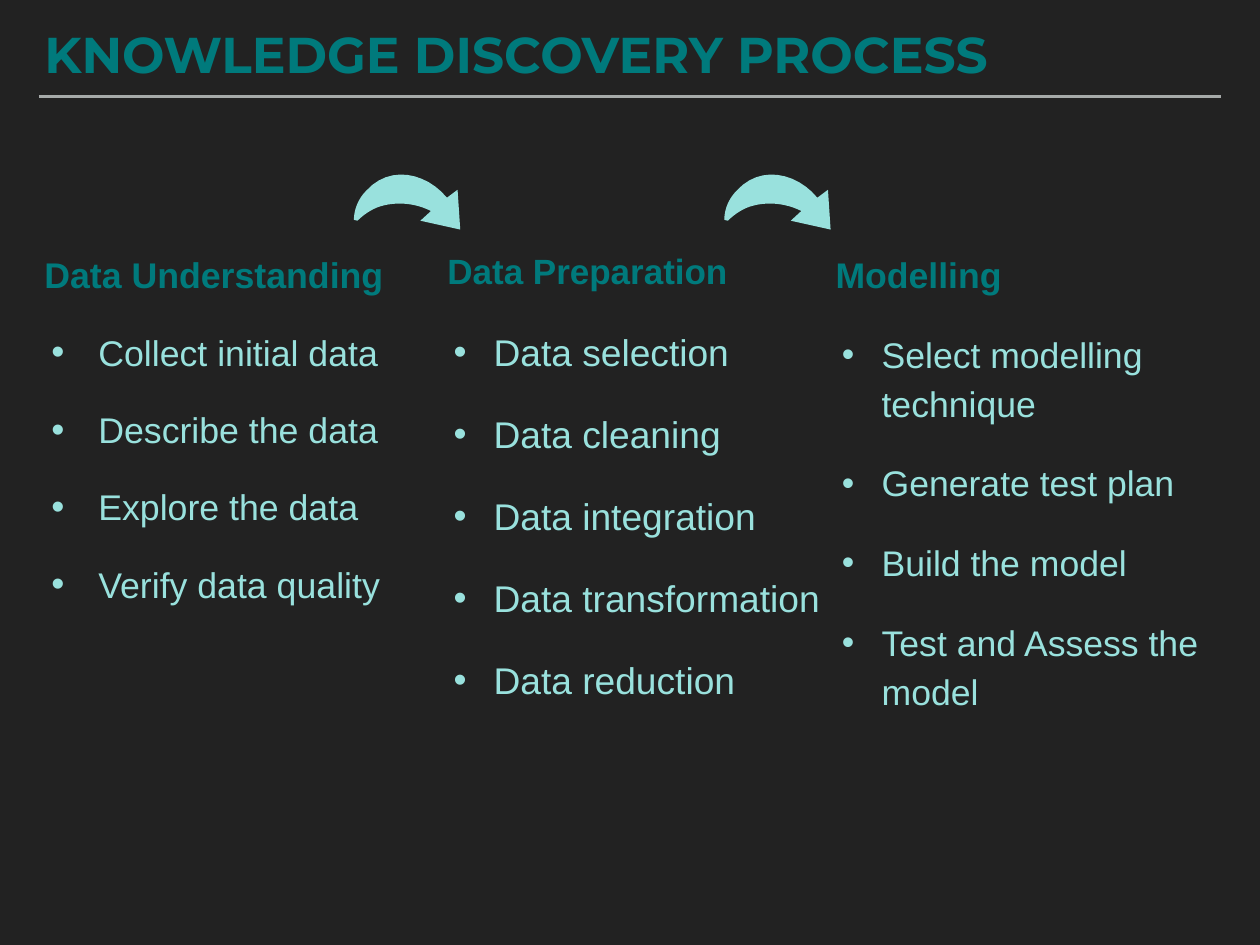
from math import cos, radians, sin
from lxml.etree import SubElement
from pptx import Presentation
from pptx.dml.color import RGBColor
from pptx.enum.shapes import MSO_CONNECTOR as Link
from pptx.enum.text import MSO_ANCHOR as Anchor, MSO_AUTO_SIZE as Fit, PP_ALIGN as Align
from pptx.oxml.ns import qn
from pptx.util import Inches, Pt

TEAL, MINT = "007A7C", "99E1DD"


def paint(color, value):
    color.rgb = RGBColor.from_string(value)


def style(para, face, size, value, bold):
    para.font.name = face
    para.font.size = Pt(size)
    para.font.bold = bold
    paint(para.font.color, value)


deck = Presentation()
deck.slide_width, deck.slide_height = Inches(14.22), Inches(10.67)
slide = deck.slides.add_slide(deck.slide_layouts[5])
slide.background.fill.solid()
paint(slide.background.fill.fore_color, "222222")

rule = slide.shapes.add_connector(
    Link.STRAIGHT, Inches(0.44), Inches(1.09), Inches(13.78), Inches(1.09))
rule.line.width = Pt(2)
paint(rule.line.color, "A6AAA9")
SubElement(rule._element.spPr, qn("a:effectLst"))

title = slide.shapes.title
title.left, title.top = Inches(0.44), Inches(0.33)
title.width, title.height = Inches(13.33), Inches(0.79)
frame = title.text_frame
frame.text = "KNOWLEDGE DISCOVERY PROCESS"
frame.auto_size = Fit.NONE
frame.vertical_anchor = Anchor.TOP
frame.margin_left = frame.margin_right = Inches(0.06)
frame.margin_top = frame.margin_bottom = Inches(0.06)
head = frame.paragraphs[0]
head.alignment = Align.LEFT
head.line_spacing = 0.8
style(head, "Montserrat", 40.9, TEAL, True)

columns = [
    ((0.44, 2.8, 5.2, 6.68), 0.06, Anchor.TOP, (29, 29), 1, 28, (0.61, 0.53), 105,
     ["Data Understanding", "Collect initial data", "Describe the data",
      "Explore the data", "Verify data quality"]),
    ((4.91, 2.68, 4.52, 5.31), 0.14, Anchor.MIDDLE, (28.5, 30.2), 1.15, 25, (0.52, 0.45), 100,
     ["Data Preparation", "Data selection", "Data cleaning", "Data integration",
      "Data transformation", "Data reduction"]),
    ((9.29, 2.76, 5.2, 5.31), 0.14, Anchor.MIDDLE, (28.9, 28.9), 1.15, 25, (0.52, 0.45), 100,
     ["Modelling", "Select modelling technique", "Generate test plan",
      "Build the model", "Test and Assess the model"]),
]
for place, inset, anchor, sizes, pitch, gap, (margin, hang), dot, lines in columns:
    frame = slide.shapes.add_textbox(*map(Inches, place)).text_frame
    frame.word_wrap = True
    frame.vertical_anchor = anchor
    frame.margin_left = frame.margin_right = Inches(inset)
    frame.margin_top = frame.margin_bottom = Inches(inset)
    frame.text = "\n".join(lines)
    for rank, para in enumerate(frame.paragraphs):
        para.line_spacing = pitch
        if rank:
            para.space_before = Pt(gap)
            props = para._p.get_or_add_pPr()
            props.set("marL", str(Inches(margin)))
            props.set("indent", str(-Inches(hang)))
            SubElement(props, qn("a:buSzPct"), val=str(dot * 1000))
            SubElement(props, qn("a:buFont"), typeface="Arial")
            SubElement(props, qn("a:buChar"), char="•")
            style(para, "Arial", sizes[1], MINT, False)
        else:
            style(para, "Arial", sizes[0], TEAL, True)

curves = [
    [(5.04, 2.23), (4.8, 1.94), (4.39, 1.86), (4.13, 2.15)],
    [(4.13, 2.15), (4.04, 2.24), (3.99, 2.36), (3.99, 2.48)],
    [(4.03, 2.49), (4.1, 2.42), (4.19, 2.36), (4.28, 2.33)],
    [(4.28, 2.33), (4.47, 2.27), (4.68, 2.29), (4.86, 2.38)],
]
points = [(5.19, 2.59), (5.16, 2.14)]
for curve in curves:
    for step in range(13):
        t = step / 12
        parts = ((1 - t) ** 3, 3 * t * (1 - t) ** 2, 3 * t * t * (1 - t), t ** 3)
        points.append(tuple(sum(w * p[axis] for w, p in zip(parts, curve)) for axis in (0, 1)))
points += [(4.74, 2.49)]

TURN = 140
cx, cy = 4.64, 2.385
c, s = cos(radians(TURN)), sin(radians(TURN))
flat = [(cx + (x - cx) * c + (y - cy) * s, cy - (x - cx) * s + (y - cy) * c) for x, y in points]

for shift in (0, 4.18):
    spots = [(Inches(x + shift), Inches(y)) for x, y in flat]
    pen = slide.shapes.build_freeform(*spots[0])
    pen.add_line_segments(spots[1:], close=True)
    arrow = pen.convert_to_shape()
    arrow.rotation = TURN
    arrow.shadow.inherit = False
    arrow.fill.solid()
    paint(arrow.fill.fore_color, MINT)
    arrow.line.fill.background()

deck.save("out.pptx")
